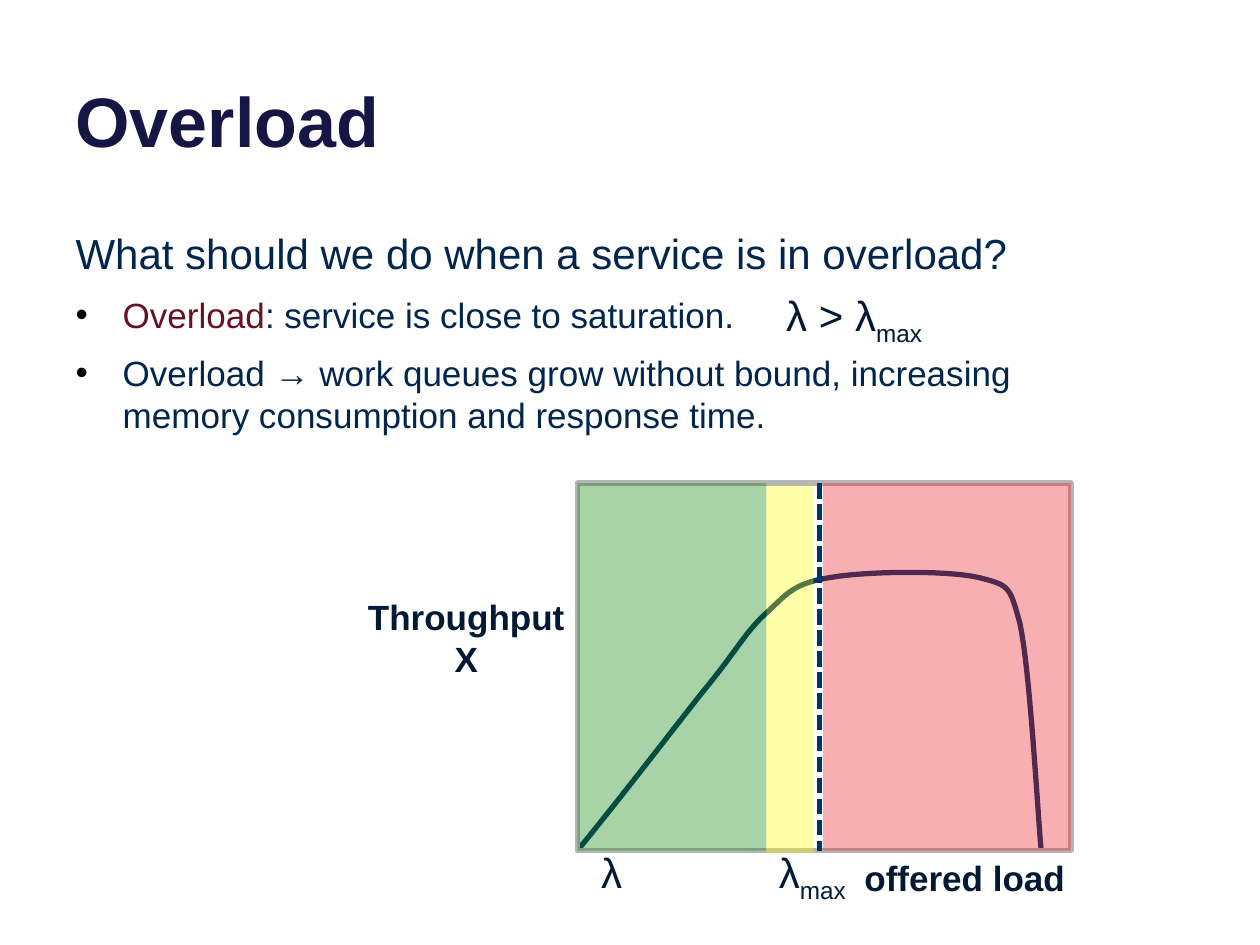
from lxml.etree import SubElement
from pptx import Presentation
from pptx.dml.color import RGBColor
from pptx.enum.dml import MSO_LINE
from pptx.enum.shapes import MSO_CONNECTOR, MSO_SHAPE
from pptx.enum.text import MSO_ANCHOR, MSO_AUTO_SIZE, PP_ALIGN
from pptx.oxml.ns import qn
from pptx.util import Cm, Pt

NAVY, DARK, LINE = "00264D", "001934", "003367"


def color(hex_string):
    return RGBColor.from_string(hex_string)


def format_font(font, size, hex_string, bold=False):
    font.name = "Arial"
    font.size = Pt(size)
    font.bold = bold
    font.color.rgb = color(hex_string)


def place(shape, left, top, width, height):
    shape.left, shape.top = Cm(left), Cm(top)
    shape.width, shape.height = Cm(width), Cm(height)


def set_bullet(paragraph, indent=0, character=None):
    properties = paragraph._p.get_or_add_pPr()
    properties.set("marL", str(Cm(indent)))
    properties.set("indent", str(-Cm(indent)))
    if character is None:
        SubElement(properties, qn("a:buNone"))
        return
    bullet_color = SubElement(properties, qn("a:buClr"))
    SubElement(bullet_color, qn("a:srgbClr"), val="000000")
    SubElement(properties, qn("a:buFont"), typeface="Arial")
    SubElement(properties, qn("a:buChar"), char=character)


def add_title(title, left, top, width, height):
    place(title, left, top, width, height)
    frame = title.text_frame
    frame.text = "Overload"
    frame.vertical_anchor = MSO_ANCHOR.BOTTOM
    frame.auto_size = MSO_AUTO_SIZE.NONE
    frame.paragraphs[0].alignment = PP_ALIGN.LEFT
    format_font(frame.paragraphs[0].runs[0].font, 40, "161645", True)


def add_body(body, left, top, width, height):
    place(body, left, top, width, height)
    frame = body.text_frame
    frame.auto_size = MSO_AUTO_SIZE.NONE
    frame.text = "What should we do when a service is in overload?"
    question = frame.paragraphs[0]
    set_bullet(question)
    question.space_before = Pt(0)
    format_font(question.runs[0].font, 24, NAVY)

    points = [
        [("Overload", "651222"), (": service is close to saturation.", NAVY)],
        [("Overload → work queues grow without bound, increasing "
          "memory consumption and response time.", NAVY)],
    ]
    for parts in points:
        paragraph = frame.add_paragraph()
        set_bullet(paragraph, 0.95, "•")
        paragraph.space_before = Pt(9)
        for text, hex_string in parts:
            run = paragraph.add_run()
            run.text = text
            format_font(run.font, 20, hex_string)


def add_label(slide, box, text, size=24, bold=False, subscript=None):
    label = slide.shapes.add_textbox(*map(Cm, box))
    frame = label.text_frame
    frame.text = text
    frame.word_wrap = False
    frame.auto_size = MSO_AUTO_SIZE.SHAPE_TO_FIT_TEXT
    if subscript:
        run = frame.paragraphs[0].add_run()
        run.text = subscript
    for paragraph in frame.paragraphs:
        paragraph.alignment = PP_ALIGN.CENTER if bold else PP_ALIGN.LEFT
        for run in paragraph.runs:
            format_font(run.font, size, DARK, bold)
    if subscript:
        frame.paragraphs[0].runs[-1].font._element.set("baseline", "-25000")


def add_zone(slide, left, top, width, height, hex_string):
    zone = slide.shapes.add_shape(MSO_SHAPE.RECTANGLE, *map(Cm, (left, top, width, height)))
    zone.shadow.inherit = False
    zone.fill.solid()
    zone.fill.fore_color.rgb = color(hex_string)
    fill_color = zone.fill._xPr.find(qn("a:solidFill"))[0]
    SubElement(fill_color, qn("a:alpha"), val="34000")
    zone.line.fill.background()


def bezier_points(start, segments, steps=16):
    """Points along a chain of cubic curves."""
    points = [start]
    for first, second, end in segments:
        for step in range(1, steps + 1):
            t = step / steps
            weights = ((1 - t) ** 3, 3 * t * (1 - t) ** 2, 3 * t * t * (1 - t), t ** 3)
            corners = (start, first, second, end)
            points.append(tuple(sum(w * corner[axis] for w, corner in zip(weights, corners))
                                for axis in (0, 1)))
        start = end
    return points


def add_curve(slide, left, top, height):
    segments = [
        ((0.97, 6.22), (1.9, 5), (2.54, 4.19)),
        ((3.2, 3.4), (3.4, 2.97), (3.84, 2.59)),
        ((4.24, 2.21), (4.39, 2.01), (5.11, 1.9)),
        ((5.79, 1.78), (7.42, 1.75), (8.08, 1.9)),
        ((8.71, 2.06), (8.71, 2.06), (8.92, 2.82)),
        ((9.12, 3.73), (9.27, 6.5), (9.35, height)),
    ]
    points = [(Cm(left + x), Cm(top + y)) for x, y in bezier_points((0, height), segments)]
    builder = slide.shapes.build_freeform(*points[0])
    builder.add_line_segments(points[1:], close=False)
    curve = builder.convert_to_shape()
    curve.shadow.inherit = False
    curve.fill.background()
    curve.line.color.rgb = color(LINE)
    curve.line.width = Pt(3)


def add_plot(slide, left, top, width, height):
    add_curve(slide, left, top, height)

    # Frame
    frame = slide.shapes.add_shape(MSO_SHAPE.RECTANGLE, *map(Cm, (left, top, width, height)))
    frame.shadow.inherit = False
    frame.fill.background()
    frame.line.color.rgb = color("B5B5B5")
    frame.line.width = Pt(3)

    # Load marks on the axis
    add_label(slide, (left + 0.23, top + 7.21, 0.97, 1.27), "λ")
    add_label(slide, (left + 3.81, top + 7.21, 2.06, 1.27), "λ", subscript="max")

    # Saturation line
    x = Cm(left + 4.88)
    saturation = slide.shapes.add_connector(
        MSO_CONNECTOR.STRAIGHT, x, Cm(top), x, Cm(top + height))
    SubElement(saturation._element.spPr, qn("a:effectLst"))
    saturation.line.color.rgb = color(LINE)
    saturation.line.width = Pt(3)
    saturation.line.dash_style = MSO_LINE.SQUARE_DOT

    # Load zones
    add_zone(slide, left + 4.95, top, width - 4.95, height, "E8161F")
    add_zone(slide, left, top, 3.81, height, "008000")
    add_zone(slide, left + 3.81, top + 0.05, 0.95, height, "FFFF00")

    # Axis titles
    add_label(slide, (left - 4.5, top + 2.13, 4.52, 1.96), "Throughput\nX", 20, True)
    add_label(slide, (left + 5.51, top + height, 4.6, 1.12), "offered load", 20, True)


def main():
    presentation = Presentation()
    presentation.slide_width, presentation.slide_height = Cm(25.4), Cm(19.05)
    slide = presentation.slides.add_slide(presentation.slide_layouts[1])
    add_title(slide.shapes.title, 1.27, -0.94, 22.86, 4.32)
    add_body(slide.placeholders[1], 1.27, 4.45, 22.02, 11.43)
    add_label(slide, (15.6, 5.72, 3.45, 1.27), "λ > λ", subscript="max")
    add_plot(slide, 11.64, 9.74, 9.95, 7.41)
    presentation.save("out.pptx")


if __name__ == "__main__":
    main()
